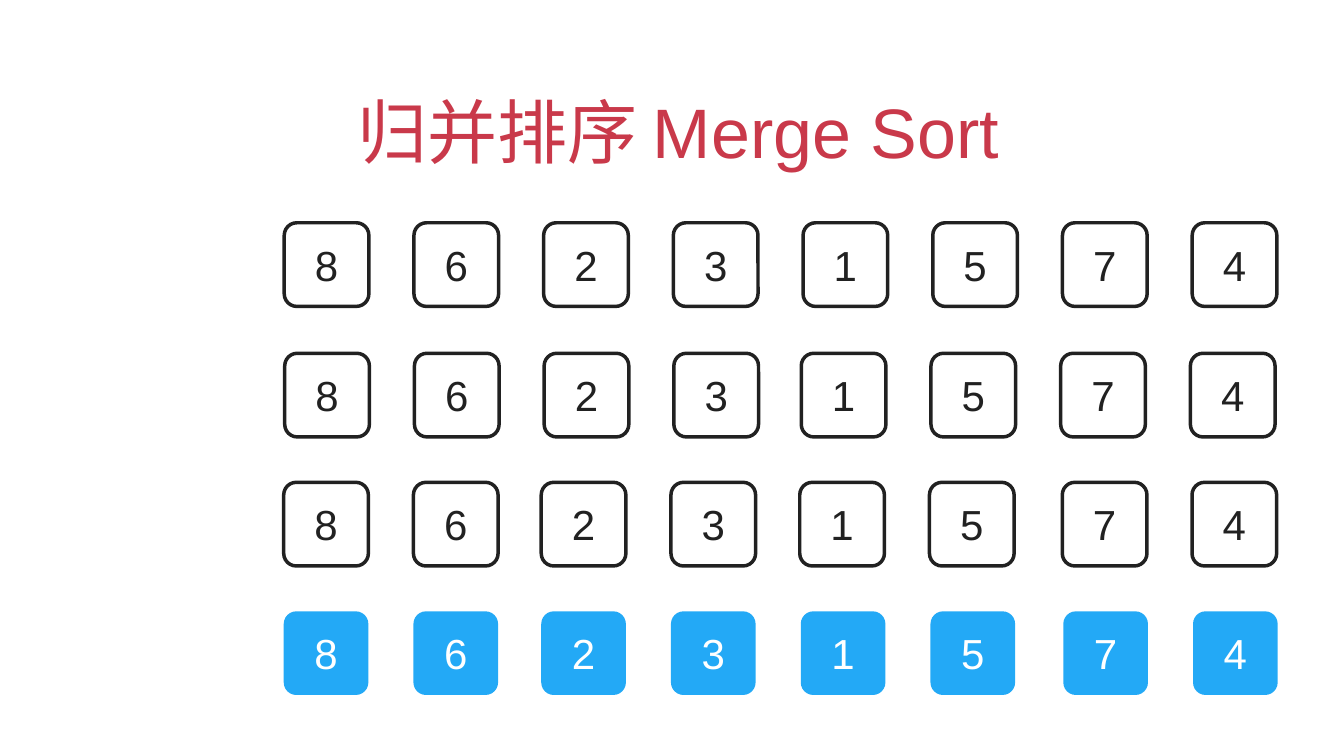
from pptx import Presentation
from pptx.dml.color import RGBColor
from pptx.enum.shapes import MSO_SHAPE as Shape
from pptx.enum.text import MSO_ANCHOR as Anchor, PP_ALIGN as Align
from pptx.util import Inches, Pt

TITLE = "归并排序 Merge Sort"
NUMBERS = [8, 6, 2, 3, 1, 5, 7, 4]
RED, INK, BLUE, WHITE = "C9394A", "212121", "23A9F6", "FFFFFF"

ROWS = [
    {"top": 4.42, "group_lefts": [5.64], "filled": False},
    {"top": 7.01, "group_lefts": [5.65, 15.9], "filled": False},
    {"top": 9.57, "group_lefts": [5.63, 10.74, 15.87, 21.08], "filled": False},
    {"top": 12.13, "group_lefts": [5.63, 10.74, 15.89, 21.1], "filled": True},
]
PITCH = 2.574
CELL_WIDTH, CELL_HEIGHT = 1.68, 1.66


def color(value):
    return RGBColor.from_string(value)


def write(box, text, size, text_color, anchor):
    frame = box.text_frame
    frame.word_wrap = True
    frame.vertical_anchor = anchor
    frame.margin_left = frame.margin_right = Inches(0.06)
    frame.margin_top = frame.margin_bottom = Inches(0.06)
    para = frame.paragraphs[0]
    para.alignment = Align.CENTER
    span = para.add_run()
    span.text = text
    span.font.name = "Arial"
    span.font.size = Pt(size)
    span.font.color.rgb = color(text_color)
    return para


def add_cell(page, left, top, number, filled):
    cell = page.shapes.add_shape(
        Shape.ROUNDED_RECTANGLE,
        Inches(left), Inches(top), Inches(CELL_WIDTH), Inches(CELL_HEIGHT),
    )
    cell.adjustments[0] = 0.15
    cell.shadow.inherit = False
    if filled:
        cell.fill.solid()
        cell.fill.fore_color.rgb = color(BLUE)
        cell.line.fill.background()
    else:
        cell.fill.background()
        cell.line.color.rgb = color(INK)
        cell.line.width = Pt(5)
    write(cell, str(number), 60, WHITE if filled else INK, Anchor.MIDDLE)


def main():
    deck = Presentation()
    deck.slide_width, deck.slide_height = Inches(26.67), Inches(15)
    page = deck.slides.add_slide(deck.slide_layouts[6])

    title = page.shapes.add_textbox(
        Inches(1.94), Inches(1.27), Inches(22.78), Inches(2.22)
    )
    para = write(title, TITLE, 100, RED, Anchor.BOTTOM)
    para._p.get_or_add_pPr().set("indent", str(Inches(0.25)))

    for row in ROWS:
        group_size = len(NUMBERS) // len(row["group_lefts"])
        for index, number in enumerate(NUMBERS):
            group, place = divmod(index, group_size)
            left = row["group_lefts"][group] + place * PITCH
            add_cell(page, left, row["top"], number, row["filled"])

    deck.save("out.pptx")


if __name__ == "__main__":
    main()
